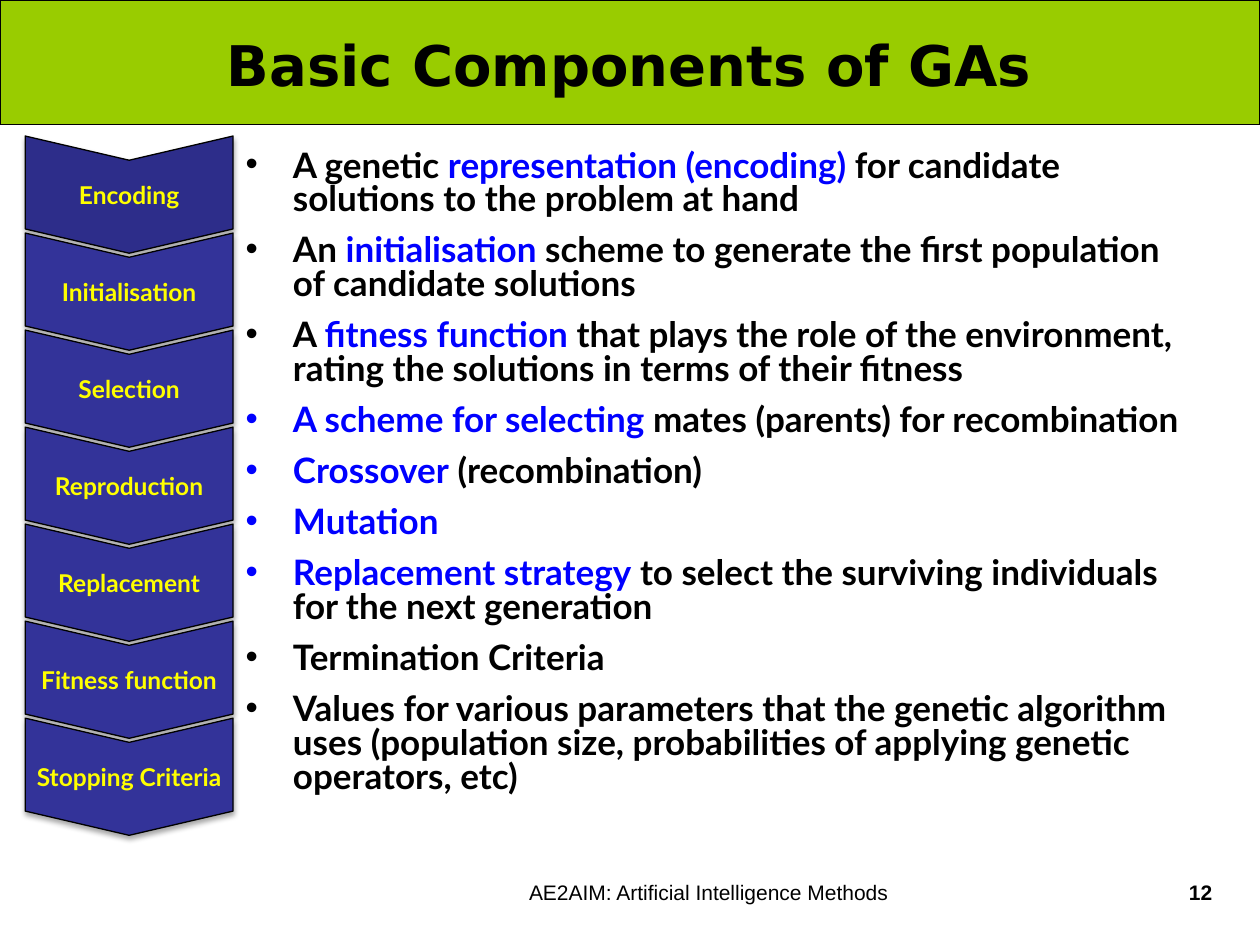
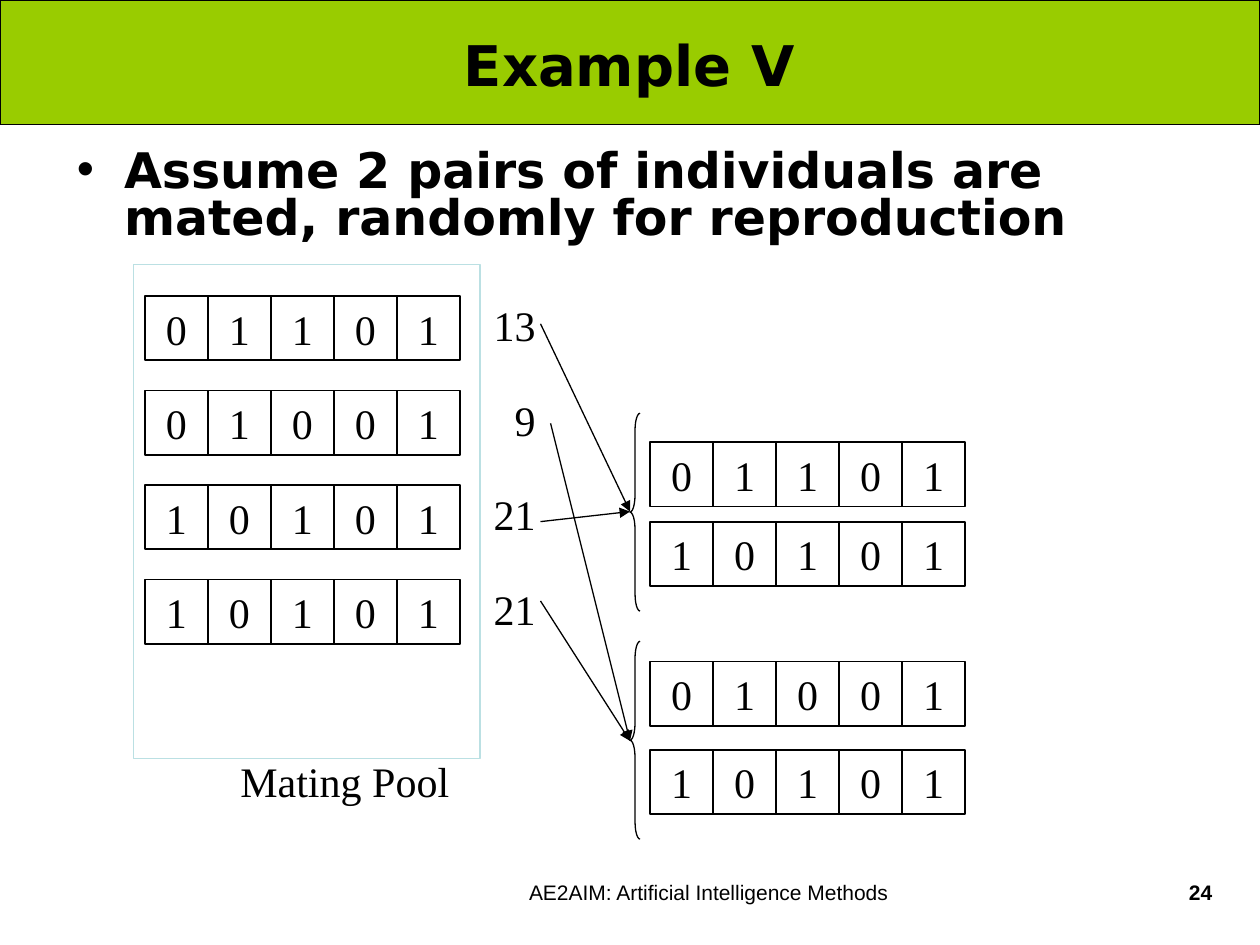
import pptx
import pptx.util
import pptx.dml.color
import pptx.enum.shapes
import pptx.enum.text
import pptx.oxml
import pptx.oxml.ns

Inches = pptx.util.Inches
Pt = pptx.util.Pt
KIND = pptx.enum.shapes.MSO_SHAPE
ALIGN = pptx.enum.text.PP_ALIGN
MID = pptx.enum.text.MSO_ANCHOR.MIDDLE
NS = pptx.oxml.ns.nsdecls("a")

BLACK, BLUE, LIME, YELLOW = "000000", "0000FF", "99CC00", "FFFF00"
NAVY, DARK, PALE = "333399", "2D2D8A", "BBE0E3"
SANS, BODY, SERIF, FOOT = "DejaVu Sans", "Lato", "Times New Roman", "Arial"


def paint(part, code):
    part.rgb = pptx.dml.color.RGBColor.from_string(code)


def write(shape, text, size, face, bold=False, align=ALIGN.CENTER, code=BLACK):
    frame = shape.text_frame
    frame.word_wrap = True
    frame.auto_size = pptx.enum.text.MSO_AUTO_SIZE.NONE
    for i, line in enumerate(text.split("\n")):
        para = frame.paragraphs[0] if i == 0 else frame.add_paragraph()
        para.alignment = align
        para.space_before = Pt(10 if i else 0)
        para.font.size = Pt(size)
        para.font.name = face
        para.font.bold = bold
        paint(para.font.color, code)
        for j, piece in enumerate(line.split("|")):
            if piece:
                run = para.add_run()
                run.text = piece
                if j % 2:
                    paint(run.font.color, BLUE)
    return frame


deck = pptx.Presentation()
deck.slide_width, deck.slide_height = Inches(10), Inches(7.5)

parts = """A genetic |representation (encoding)| for candidate solutions to the problem at hand
An |initialisation |scheme to generate the first population of candidate solutions
A |fitness function| that plays the role of the environment, rating the solutions in terms of their fitness
|A scheme for selecting| mates (parents) for recombination
|Crossover| (recombination)
|Mutation|
|Replacement strategy| to select the surviving individuals for the next generation
Termination Criteria
Values for various parameters that the genetic algorithm uses (population size, probabilities of applying genetic operators, etc)"""
pairs = "Assume 2 pairs of individuals are mated, randomly for reproduction"

pages = [
    ("Basic Components of GAs", "12", parts, 1.85, 7.66, 20, BODY),
    ("Example V", "24", pairs, 0.51, 9, 28, SANS),
]
for title, page, text, left, width, size, face in pages:
    slide = deck.slides.add_slide(deck.slide_layouts[1])
    head, body = slide.placeholders
    head.left, head.top = Inches(0.35), Inches(0.02)
    head.width, head.height = Inches(9.29), Inches(0.98)
    write(head, title, 32, SANS, True).vertical_anchor = MID
    body.left, body.top = Inches(left), Inches(1.15)
    body.width, body.height = Inches(width), Inches(5.59)
    for para in write(body, text, size, face, True, ALIGN.LEFT).paragraphs:
        para.line_spacing = 0.8
    box = slide.shapes.add_textbox(Inches(8.62), Inches(6.93), Inches(1.1), Inches(0.52))
    write(box, page, 12, FOOT, True, ALIGN.RIGHT)
    box = slide.shapes.add_textbox(Inches(2.87), Inches(6.93), Inches(5.51), Inches(0.52))
    write(box, "AE2AIM: Artificial Intelligence Methods", 12, FOOT)

first, second = deck.slides

band = first.shapes.add_shape(KIND.RECTANGLE, 0, 0, Inches(10), Inches(0.99))
band.shadow.inherit = False
band.fill.solid()
paint(band.fill.fore_color, LIME)
paint(band.line.color, BLACK)
band.line.width = Pt(0.75)
deck.slide_master.shapes._spTree.insert(2, band._element)

steps = ["Encoding", "Initialisation", "Selection", "Reproduction",
         "Replacement", "Fitness function", "Stopping Criteria"]
for i, step in enumerate(steps):
    mark = first.shapes.add_shape(KIND.CHEVRON, Inches(0.56), Inches(0.72 + 0.77 * i),
                                  Inches(0.93), Inches(1.65))
    mark.rotation = 90
    mark.adjustments[0] = 0.207
    mark.fill.solid()
    paint(mark.fill.fore_color, NAVY if i else DARK)
    paint(mark.line.color, BLACK)
    mark.line.width = Pt(0.75)
    mark._element.spPr.append(pptx.oxml.parse_xml(
        f'<a:effectLst {NS}><a:outerShdw blurRad="39370" dist="22860" dir="5400000" '
        f'rotWithShape="0"><a:srgbClr val="{BLACK}"><a:alpha val="35000"/></a:srgbClr>'
        '</a:outerShdw></a:effectLst>'))
    frame = write(mark, step, 14, BODY, True, code=YELLOW)
    frame.vertical_anchor = MID
    frame.margin_left = frame.margin_right = frame.margin_top = frame.margin_bottom = 0
    frame._txBody.bodyPr.set("vert", "vert270")

pool = second.shapes.add_shape(KIND.RECTANGLE, Inches(1.06), Inches(2.1), Inches(2.75), Inches(3.92))
pool.shadow.inherit = False
pool.fill.background()
paint(pool.line.color, PALE)
pool.line.width = Pt(1)
label = second.shapes.add_textbox(Inches(1.81), Inches(5.95), Inches(2), Inches(0.46))
write(label, "Mating Pool", 24, SERIF, align=ALIGN.LEFT)

genes = ["01101", "01001", "10101", "10101"]
rows = [(1.15, 2.35 + 0.75 * i, bits) for i, bits in enumerate(genes)]
rows += [(5.16, 3.51, genes[0]), (5.16, 4.14, genes[2]),
         (5.16, 5.25, genes[1]), (5.16, 5.95, genes[3])]
for left, top, bits in rows:
    for i, bit in enumerate(bits):
        cell = second.shapes.add_shape(KIND.RECTANGLE, Inches(left + 0.5 * i), Inches(top),
                                       Inches(0.5), Inches(0.51))
        cell.shadow.inherit = False
        cell.fill.background()
        paint(cell.line.color, BLACK)
        cell.line.width = Pt(1)
        write(cell, bit, 24, SERIF).vertical_anchor = MID

for i, bits in enumerate(genes):
    box = second.shapes.add_textbox(Inches(3.82), Inches(2.33 + 0.75 * i), Inches(0.53), Inches(0.5))
    frame = write(box, str(int(bits, 2)), 24, SERIF, align=ALIGN.RIGHT)
    frame.margin_left = 0
    frame.vertical_anchor = MID

for x, y, end in [(4.29, 2.57, 4.06), (4.29, 4.14, 4.06), (4.37, 3.36, 5.88), (4.29, 4.77, 5.88)]:
    arrow = second.shapes.add_connector(pptx.enum.shapes.MSO_CONNECTOR.STRAIGHT,
                                        Inches(x), Inches(y), Inches(5), Inches(end))
    paint(arrow.line.color, BLACK)
    arrow.line.width = Pt(0.75)
    arrow.line._get_or_add_ln().append(pptx.oxml.parse_xml(f'<a:tailEnd {NS} type="triangle"/>'))
    arrow._element.spPr.append(pptx.oxml.parse_xml(f"<a:effectLst {NS}/>"))

for top in (3.28, 5.09):
    brace = second.shapes.add_shape(KIND.LEFT_BRACE, Inches(5), Inches(top), Inches(0.08), Inches(1.57))
    brace.shadow.inherit = False
    brace.adjustments[0] = 1.68
    brace.fill.background()
    paint(brace.line.color, BLACK)
    brace.line.width = Pt(0.75)

deck.save("out.pptx")
